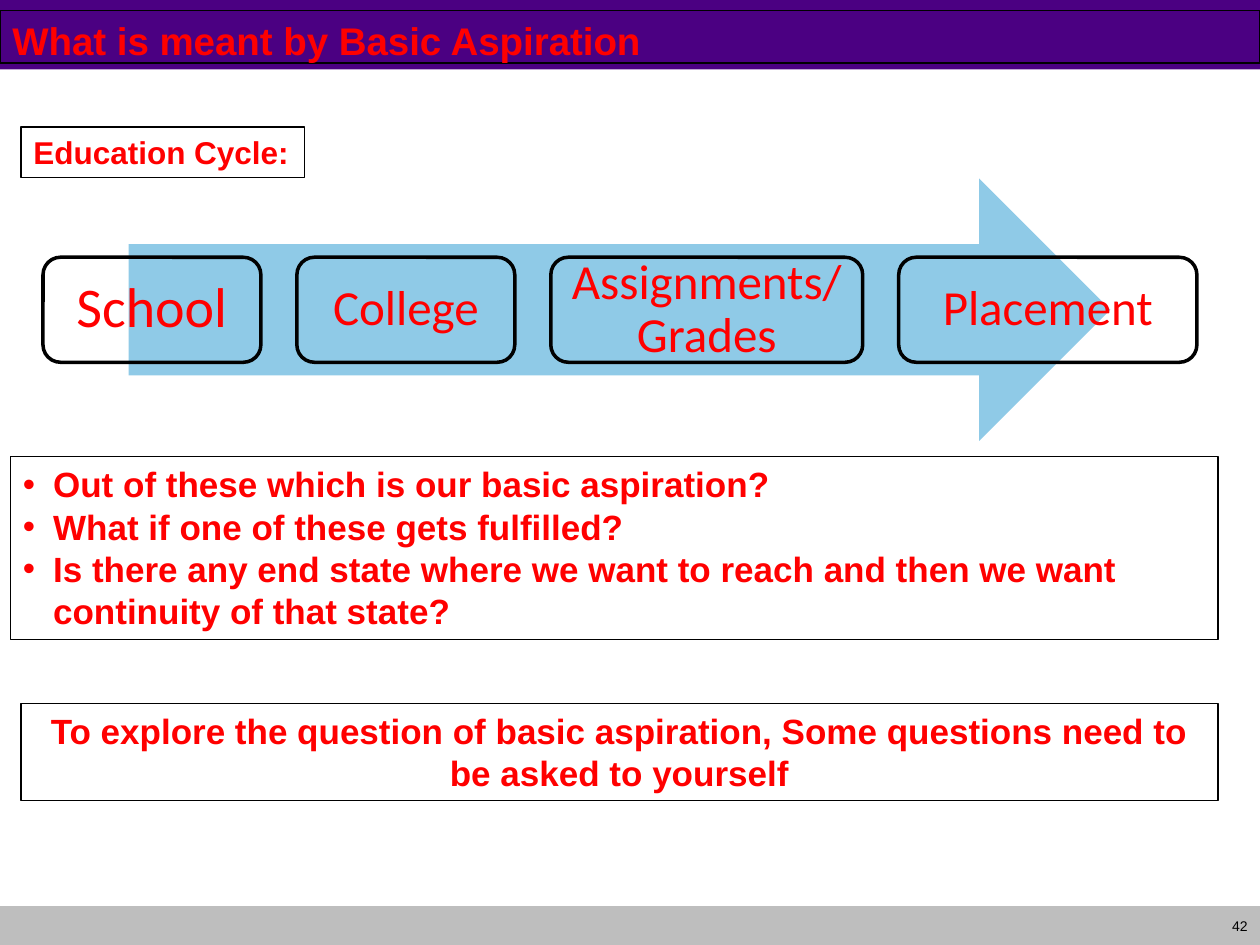
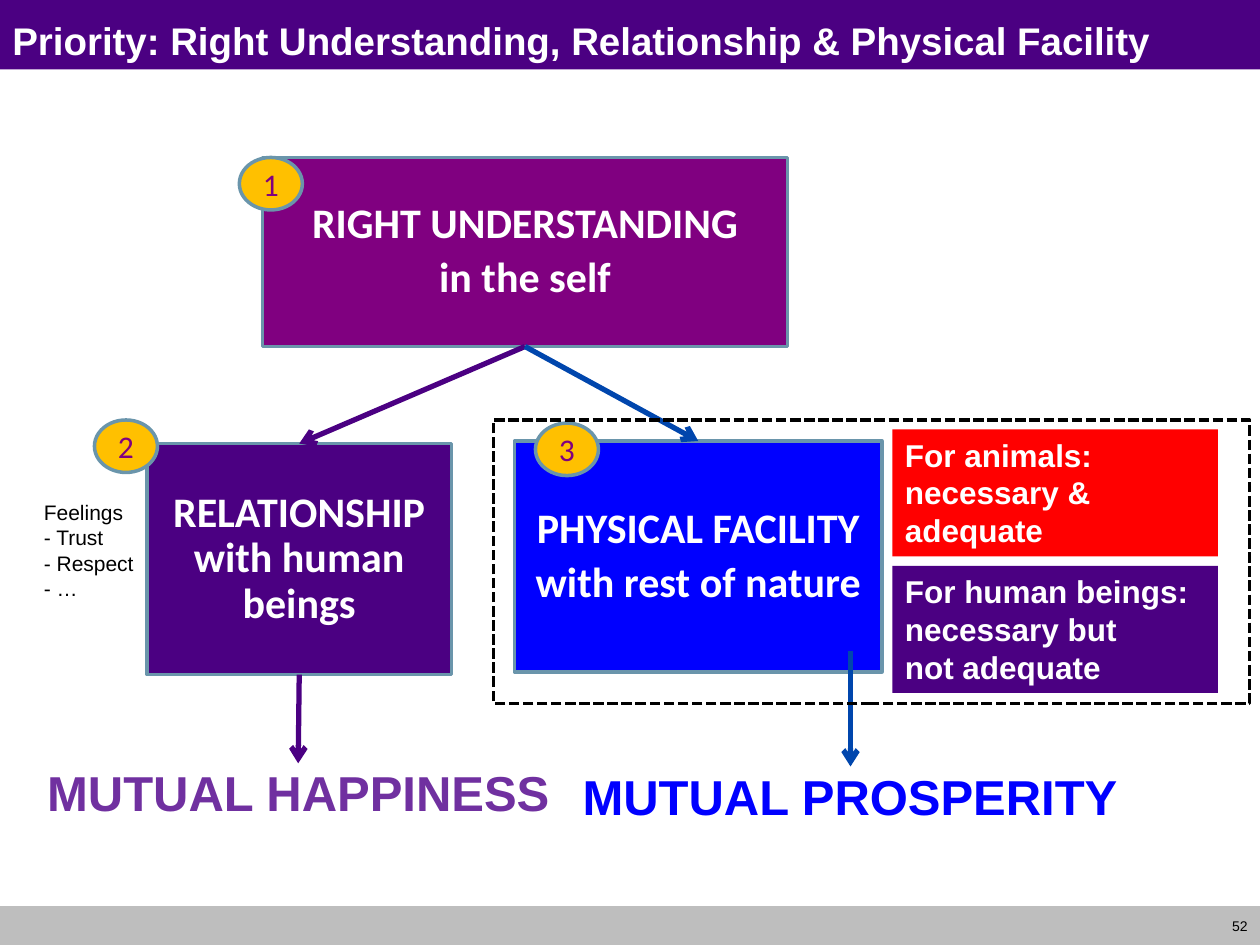
"""Build two slides on basic aspiration and its priorities on a 120 x 90 grid."""
from lxml.etree import SubElement as Sub
from pptx import Presentation
from pptx.dml.color import RGBColor as Rgb
from pptx.enum.dml import MSO_LINE as Dash
from pptx.enum.shapes import MSO_CONNECTOR as Wire, MSO_SHAPE as Kind
from pptx.enum.text import MSO_ANCHOR as Anchor, PP_ALIGN as Align
from pptx.oxml.ns import qn
from pptx.util import Inches, Pt

UNIT = Inches(10) / 120

HUES = {
    "indigo": "4B0082", "grey": "BEBEBE", "black": "000000", "white": "FFFFFF",
    "red": "FF0000", "sky": "8FCAE7", "steel": "6A95AB", "blue": "0000FF",
    "plum": "800080", "violet": "7030A0", "navy": "0046AD", "gold": "FFC000",
}

MID = {"anchor": Anchor.MIDDLE}
CENTER = {"alignment": Align.CENTER}
TIGHT = {**CENTER, "line_spacing": 0.9}
LOOSE = {**TIGHT, "space_before": Pt(5)}

STYLES = {
    "title": {"font": ("Arial", 22, True)},
    "page": {"font": ("Arial", 8, False), "para": {"alignment": Align.RIGHT}, "frame": MID},
    "label": {"font": ("Arial", 18, True)},
    "body": {"font": ("Arial", 20, True)},
    "close": {"font": ("Arial", 20, True), "para": CENTER},
    "first": {"font": ("Calibri", 32, False), "para": TIGHT, "frame": MID},
    "step": {"font": ("Calibri", 28, False), "para": TIGHT, "frame": MID},
    "block": {"font": ("Calibri", 24, True), "para": LOOSE, "frame": MID},
    "badge": {"font": ("Calibri", 18, False), "para": CENTER, "frame": MID},
    "goal": {"font": ("Arial", 28, True), "para": LOOSE},
    "note": {"font": ("Arial", 12, False)},
}


def grid(*cells):
    """Turn grid cells into lengths."""
    return [round(cell * UNIT) for cell in cells]


def hue(name):
    """Look up a colour by name."""
    return Rgb.from_string(HUES[name])


def apply(item, values):
    """Set each value as an attribute of the item."""
    for key, value in values.items():
        setattr(item, key, value)


def write(shape, lines, style, ink, wrap=True):
    """Fill a shape with styled lines of text."""
    look = STYLES[style]
    frame = shape.text_frame
    apply(frame, {"word_wrap": wrap, "vertical_anchor": look.get("frame", {}).get("anchor", Anchor.TOP)})
    frame.text = "\n".join(lines)
    name, size, bold = look["font"]
    for para in frame.paragraphs:
        apply(para, {"alignment": Align.LEFT, **look.get("para", {})})
        apply(para.font, {"name": name, "size": Pt(size), "bold": bold})
        para.font.color.rgb = hue(ink)


def draw(slide, kind, cells, fill=None, line=None, width=0.75):
    """Add a preset shape with plain fill and line."""
    shape = slide.shapes.add_shape(kind, *grid(*cells))
    shape.shadow.inherit = False
    if fill:
        shape.fill.solid()
        shape.fill.fore_color.rgb = hue(fill)
    else:
        shape.fill.background()
    if line:
        shape.line.color.rgb = hue(line)
        shape.line.width = Pt(width)
    else:
        shape.line.fill.background()
    return shape


def box(slide, cells, lines, style, ink, fill=None, line=None, width=0.75, kind=Kind.RECTANGLE, wrap=True):
    """Add a shape that holds text."""
    shape = draw(slide, kind, cells, fill, line, width)
    write(shape, lines, style, ink, wrap)
    return shape


def text(slide, cells, lines, style, ink, wrap=True):
    """Add a plain text box."""
    write(slide.shapes.add_textbox(*grid(*cells)), lines, style, ink, wrap)


def arrow(slide, ends, ink):
    """Add a line with an open head at its end."""
    wire = slide.shapes.add_connector(Wire.STRAIGHT, *grid(*ends))
    wire.line.color.rgb = hue(ink)
    wire.line.width = Pt(3)
    props = wire.element.spPr
    Sub(props.find(qn("a:ln")), qn("a:tailEnd"), type="arrow")
    Sub(props, qn("a:effectLst"))


def bullet(shape):
    """Give each paragraph a hanging bullet."""
    for para in shape.text_frame.paragraphs:
        props = para._p.get_or_add_pPr()
        props.set("marL", str(Inches(0.24)))
        props.set("indent", str(-Inches(0.24)))
        Sub(props, qn("a:buFont"), typeface="Arial")
        Sub(props, qn("a:buChar"), char="•")


def start(deck, title, page, ink, line=None):
    """Add a slide with its bands, title and page number."""
    slide = deck.slides.add_slide(deck.slide_layouts[6])
    draw(slide, Kind.RECTANGLE, (0, 0, 120, 6.6), "indigo")
    draw(slide, Kind.RECTANGLE, (0, 86.3, 120, 3.7), "grey")
    text(slide, (114.4, 86.3, 5.6, 3.8), [page], "page", "black")
    box(slide, (0, 1, 120, 5), [title], "title", ink, line=line)
    return slide


def cycle(slide):
    """Draw the steps of the cycle in a row over a broad arrow."""
    draw(slide, Kind.RIGHT_ARROW, (12.25, 17, 93.5, 25), "sky")
    left, gap = 4.1, 3.43
    steps = (("School",), 20.75, "first"), (("College",), 20.75, "step"), \
        (("Assignments/", "Grades"), 29.7, "step"), (("Placement",), 28.4, "step")
    for lines, wide, style in steps:
        box(slide, (left, 24.5, wide, 10), lines, style, "red", line="black", width=2, kind=Kind.ROUNDED_RECTANGLE)
        left += wide + gap


def aspire(deck):
    """Build the slide on basic aspiration."""
    slide = start(deck, "What is meant by Basic Aspiration", "42", "red", "black")
    box(slide, (2, 12.1, 27, 4.8), ["Education Cycle:"], "label", "red", line="black", wrap=False)
    cycle(slide)
    asks = [
        "Out of these which is our basic aspiration?",
        "What if one of these gets fulfilled?",
        "Is there any end state where we want to reach and then we want continuity of that state?",
    ]
    bullet(box(slide, (1, 43.5, 115, 17.4), asks, "body", "red", line="black"))
    close = "To explore the question of basic aspiration, Some questions need to be asked to yourself"
    box(slide, (2, 67, 114, 9.25), [close], "close", "red", line="black")


def rank(deck):
    """Build the slide on priority."""
    slide = start(deck, "Priority: Right Understanding, Relationship & Physical Facility", "52", "white")
    blocks = (
        ((14, 42.25, 29, 22), "indigo", ["RELATIONSHIP with human beings"]),
        ((49, 42, 35, 22), "blue", ["PHYSICAL FACILITY", "with rest of nature"]),
        ((25, 15, 50, 18), "plum", ["RIGHT UNDERSTANDING", "in the self"]),
    )
    for cells, fill, lines in blocks:
        box(slide, cells, lines, "block", "white", fill, "steel", 2)
    wires = (
        ((50, 33, 28.5, 42.25), "indigo"), ((28.5, 64.25, 28.4, 72.7), "indigo"),
        ((50, 33, 66.5, 42), "navy"), ((81, 62, 81, 73), "navy"),
    )
    for ends, ink in wires:
        arrow(slide, ends, ink)
    text(slide, (3, 72.7, 50.8, 6.4), ["MUTUAL HAPPINESS"], "goal", "violet", False)
    text(slide, (54, 73, 53.9, 6.4), ["MUTUAL PROSPERITY"], "goal", "blue", False)
    for mark, spot in enumerate(((22.8, 15), (9, 40), (51, 40.3)), 1):
        box(slide, (*spot, 6, 5), [str(mark)], "badge", "plum", "gold", "steel", 2, Kind.OVAL)
    needs = (
        (40.9, "red", ["For animals: necessary & adequate"]),
        (53.9, "indigo", ["For human beings:", "necessary but", "not adequate"]),
    )
    for top, fill, lines in needs:
        box(slide, (85, top, 31, 12.1), lines, "label", "white", fill)
    text(slide, (3, 47, 13, 10.9), ["Feelings", "- Trust", "- Respect", "- …"], "note", "black")
    draw(slide, Kind.RECTANGLE, (47, 40, 72, 27), line="black", width=2).line.dash_style = Dash.SQUARE_DOT


def main():
    """Build and save the deck."""
    deck = Presentation()
    apply(deck, {"slide_width": Inches(10), "slide_height": Inches(7.5)})
    aspire(deck)
    rank(deck)
    deck.save("out.pptx")


if __name__ == "__main__":
    main()
